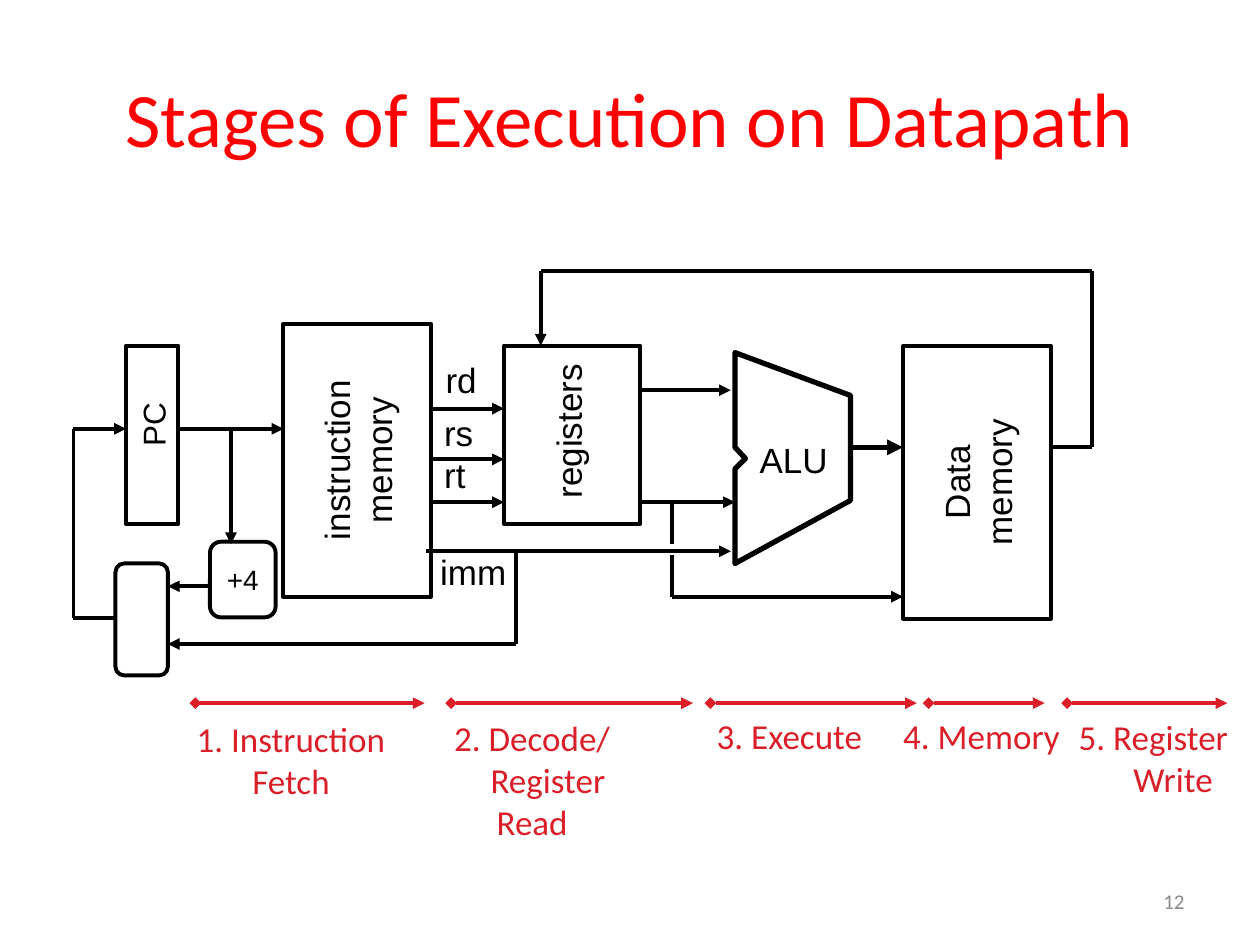
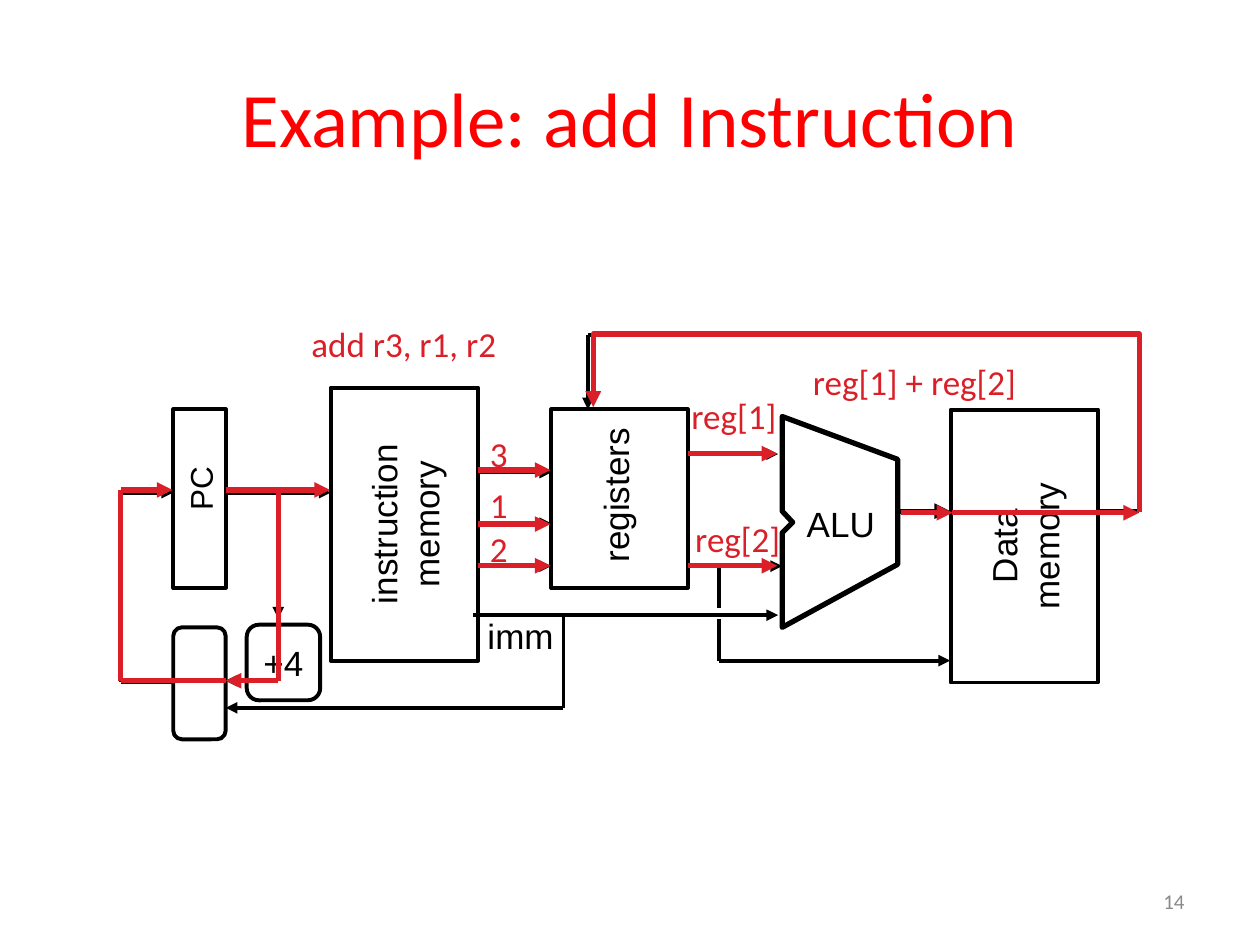
import pptx
import pptx.util
import pptx.dml.color
import pptx.enum.shapes
import pptx.enum.text
import pptx.oxml.ns
from lxml import etree

Pt = pptx.util.Pt
Shapes = pptx.enum.shapes.MSO_SHAPE
Align = pptx.enum.text.PP_ALIGN
Anchor = pptx.enum.text.MSO_ANCHOR
qn = pptx.oxml.ns.qn

COLORS = {"title": "FF0000", "ink": "000000", "accent": "DA1F28",
          "number": "898989", "paper": "FFFFFF"}

# Text styles: font, size, colour, alignment
STYLES = {
    "title": ("Calibri", 44, "title", Align.CENTER),
    "number": ("Calibri", 12, "number", Align.RIGHT),
    "part": ("Arial", 20, "ink", Align.CENTER),
    "pc": ("Arial", 18, "ink", Align.CENTER),
    "small": ("Arial", 16, "ink", Align.CENTER),
    "note": ("Calibri", 20, "accent", Align.CENTER),
}
TITLE_BOX = (36, 21.6, 648, 90)
NUMBER_BOX = (516, 500.5, 168, 28.8)

# Datapath shared by both slides, in points: box, lines of text, filled
BLOCKS = [
    ((72, 197.5, 30, 102), [], False),
    ((162, 185, 84.25, 156), ["instruction", "memory"], True),
    ((288, 197.5, 78, 102), [], True),
    ((516.25, 197.5, 84.25, 156), ["Data", "memory"], True),
]
ALU = [(420, 201.5), (486, 226), (486, 286), (420, 322),
       (420, 268), (426, 262), (420, 255.6)]
# Labels: text, box, style, turned upright
LABELS = [
    ("PC", (73, 222.8, 28.8, 39.6), "pc", True),
    ("registers", (309, 195, 31, 103), "part", True),
    ("ALU", (416, 247, 75, 31), "part", False),
    ("imm", (237.5, 311, 66, 31), "part", False),
]
# Wires: corner points, arrow at the end
WIRES = [
    ([(102, 245), (162, 245)], True),
    ([(246, 233.5), (288, 233.5)], True),
    ([(246, 262.5), (288, 262.5)], True),
    ([(246, 287), (288, 287)], True),
    ([(366, 223), (417.6, 223)], True),
    ([(366, 287), (420, 287)], True),
    ([(243.5, 315), (417.6, 315)], True),
    ([(384, 287), (384, 311)], False),
    ([(384, 317), (384, 341), (516, 341)], True),
    ([(600, 255.6), (624, 255.6), (624, 155), (309, 155), (309, 197.5)], True),
]

# Slide 1
REGISTER_FIELDS = [
    ("rd", (242.6, 201.6, 41.8, 31)),
    ("rs", (241.2, 231.8, 41.8, 31)),
    ("rt", (239, 255.6, 41.8, 31)),
]
STAGE_Y = 401.8
# Stages: lines (with left indent), text box, arrow start and end
STAGES = [
    ([("1. Instruction", 0), ("Fetch", 0)], (93.6, 415.4, 145.4, 37.4), 111.6, 242.6),
    ([("2. Decode/", 0), ("Register", 18), ("Read", 0)],
     (242.6, 408.5, 123, 74), 257.8, 396),
    ([("3. Execute", 0)], (398.9, 401.8, 104.4, 37.4), 406, 524),
    ([("4. Memory", 0)], (502.6, 401.8, 116.6, 37.4), 530.6, 597),
    ([("5. Register", 0), ("Write", 22.5)], (604, 414, 110.2, 37.4), 609.8, 701.3),
]

# Slide 2
ACTIVE_WIRES = [
    ([(129, 280), (188.6, 280)], True),
    ([(273, 268.6), (314.6, 268.6)], True),
    ([(273, 299.5), (314.6, 299.5)], True),
    ([(273, 323.3), (314.6, 323.3)], True),
    ([(393, 259.2), (444.2, 259.2)], True),
    ([(393, 323.3), (444.2, 323.3)], True),
    ([(514.8, 293), (544.3, 293)], True),
    ([(544.3, 293), (651, 293)], True),
    ([(159, 282), (159, 389), (129, 389)], True),
    ([(129, 389), (69, 389), (69, 280), (98.6, 280)], True),
]
WRITE_BACK = [(651, 292.3), (651, 190.8), (339, 190.8), (339, 232.6)]
ACTIVE_LABELS = [
    ("3", (272, 243.4, 26, 31)),
    ("1", (272, 272.9, 26, 31)),
    ("2", (272, 298, 26, 31)),
    ("reg[1]", (386.6, 221.8, 65.5, 31)),
    ("reg[2]", (388.8, 292.3, 65.5, 31)),
    ("reg[1] + reg[2]", (429, 199.5, 187.2, 37.4)),
    ("add r3, r1, r2", (161.3, 177.8, 139, 37.4)),
]

# What differs in the datapath from slide to slide
LAYOUTS = [
    {"title": "Stages of Execution on Datapath", "number": "12", "shift": (0, 0),
     "adder": (120, 309.6, 37.5, 43.2), "adder_style": "small",
     "adder_in": 311, "adder_out": 335, "mux": 66},
    {"title": "Example: add Instruction", "number": "14", "shift": (27, 36.5),
     "adder": (114, 320.5, 42, 43.2), "adder_style": "part",
     "adder_in": 317, "adder_out": 352.5, "mux": 72},
]


def color(name):
    return pptx.dml.color.RGBColor.from_string(COLORS[name])


def apply(target, formats):
    for name, value in formats.items():
        setattr(target, name, value)


def move(point, shift):
    return point[0] + shift[0], point[1] + shift[1]


def move_box(box, shift):
    return move(box, shift) + tuple(box[2:])


def write(shape, lines, style, anchor=Anchor.MIDDLE):
    """Fill a shape with lines: plain strings or (text, indent) pairs."""
    font, size, ink, align = STYLES[style]
    frame = shape.text_frame
    apply(frame, {"word_wrap": True, "vertical_anchor": anchor})
    for index, line in enumerate(lines):
        text, indent = (line, 0) if isinstance(line, str) else line
        paragraph = frame.add_paragraph() if index else frame.paragraphs[0]
        paragraph.alignment = align
        if indent:
            paragraph._p.get_or_add_pPr().set("marL", str(Pt(indent)))
        run = paragraph.add_run()
        run.text = text
        apply(run.font, {"name": font, "size": Pt(size)})
        run.font.color.rgb = color(ink)


def turn(shape):
    """Turn a shape to read upwards, keeping the box it covers."""
    center_x, center_y = shape.left + shape.width // 2, shape.top + shape.height // 2
    width, height = shape.height, shape.width
    apply(shape, {"left": center_x - width // 2, "top": center_y - height // 2,
                  "width": width, "height": height, "rotation": 270})


def add_label(slide, lines, box, style, upright=False, anchor=Anchor.MIDDLE):
    shape = slide.shapes.add_textbox(*map(Pt, box))
    write(shape, lines, style, anchor)
    if upright:
        turn(shape)


def outline(shape, ink="ink", width=2.25, filled=False):
    shape.shadow.inherit = False
    shape.line.color.rgb = color(ink)
    shape.line.width = Pt(width)
    if filled:
        shape.fill.solid()
        shape.fill.fore_color.rgb = color("paper")
    else:
        shape.fill.background()


def add_block(slide, kind, box, filled=True):
    shape = slide.shapes.add_shape(kind, *map(Pt, box))
    outline(shape, filled=filled)
    return shape


def add_end(shape, tag, kind):
    etree.SubElement(shape.line._get_or_add_ln(), qn(tag), type=kind)


def add_wire(slide, points, arrow, ink="ink", width=2.25, start=None):
    segments = list(zip(points, points[1:]))
    for index, (begin, end) in enumerate(segments):
        connector = slide.shapes.add_connector(
            pptx.enum.shapes.MSO_CONNECTOR.STRAIGHT, *map(Pt, begin + end))
        connector.line.color.rgb = color(ink)
        connector.line.width = Pt(width)
        etree.SubElement(connector._element.spPr, qn("a:effectLst"))
        if start and index == 0:
            add_end(connector, "a:headEnd", start)
        if arrow and index == len(segments) - 1:
            add_end(connector, "a:tailEnd", "triangle")


def add_outline(slide, points, ink, closed):
    corners = [(Pt(x), Pt(y)) for x, y in points]
    builder = slide.shapes.build_freeform(*corners[0])
    builder.add_line_segments(corners[1:], close=closed)
    shape = builder.convert_to_shape()
    outline(shape, ink, 3)
    return shape


def add_datapath(slide, layout):
    shift = layout["shift"]
    # Memories, registers and program counter
    for box, lines, filled in BLOCKS:
        shape = add_block(slide, Shapes.RECTANGLE, move_box(box, shift), filled)
        if lines:
            write(shape, lines, "part")
            turn(shape)
    # Adder and the selector of the next address
    mux = layout["mux"]
    adder = layout["adder"]
    for box, lines in ((adder, ["+4"]), ((mux, 322, 30, 64), [])):
        shape = add_block(slide, Shapes.ROUNDED_RECTANGLE, move_box(box, shift))
        write(shape, lines, layout["adder_style"])
    # ALU
    add_outline(slide, [move(point, shift) for point in ALU], "ink", True)
    add_wire(slide, [move(point, shift) for point in [(486, 255.6), (516, 255.6)]],
             True, width=3)
    # Wires, the last four depending on the adder and the selector
    out = layout["adder_out"]
    wires = WIRES + [
        ([(132, 245), (132, layout["adder_in"])], True),
        ([(adder[0] + 1, out), (mux + 30, out)], True),
        ([(295, 315), (295, 368), (mux + 30, 368)], True),
        ([(mux, 353), (42, 353), (42, 245), (72, 245)], True),
    ]
    for points, arrow in wires:
        add_wire(slide, [move(point, shift) for point in points], arrow)
    for text, box, style, upright in LABELS:
        anchor = Anchor.TOP if text == "ALU" else Anchor.MIDDLE
        add_label(slide, [text], move_box(box, shift), style, upright, anchor)


def add_stages(slide):
    for text, box in REGISTER_FIELDS:
        add_label(slide, [text], box, "part")
    for lines, box, start, end in STAGES:
        add_label(slide, lines, box, "note")
        add_wire(slide, [(start, STAGE_Y), (end, STAGE_Y)], True, "accent", start="diamond")


def add_active_path(slide):
    for points, arrow in ACTIVE_WIRES:
        add_wire(slide, points, arrow, "accent", 3)
    add_end(add_outline(slide, WRITE_BACK, "accent", False), "a:tailEnd", "triangle")
    for text, box in ACTIVE_LABELS:
        add_label(slide, [text], box, "note")


presentation = pptx.Presentation()
apply(presentation, {"slide_width": Pt(720), "slide_height": Pt(540)})
for layout, add_details in zip(LAYOUTS, (add_stages, add_active_path)):
    slide = presentation.slides.add_slide(presentation.slide_layouts[6])
    add_label(slide, [layout["title"]], TITLE_BOX, "title")
    add_datapath(slide, layout)
    add_details(slide)
    add_label(slide, [layout["number"]], NUMBER_BOX, "number")
presentation.save("out.pptx")
